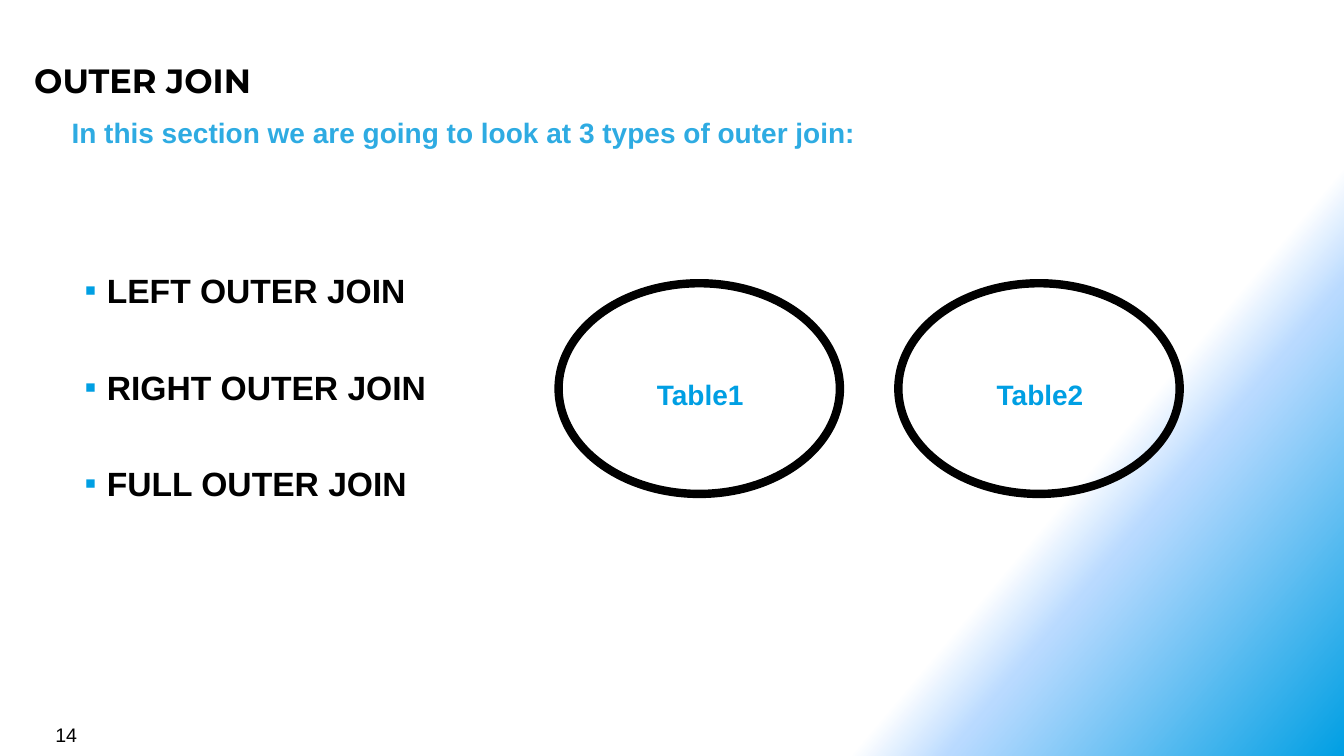
from lxml.etree import SubElement
from pptx import Presentation
from pptx.dml.color import RGBColor
from pptx.enum.shapes import MSO_SHAPE
from pptx.enum.text import PP_ALIGN
from pptx.oxml import parse_xml
from pptx.oxml.ns import nsdecls, qn
from pptx.util import Inches, Pt

BLACK = RGBColor(0, 0, 0)
SKY = RGBColor(0x2E, 0xAB, 0xE2)
BLUE = RGBColor(0x00, 0x9F, 0xE3)
WHITE = RGBColor(0xFF, 0xFF, 0xFF)
PALE = RGBColor(0xB9, 0xDA, 0xFF)

TITLE = "OUTER JOIN"
LEAD = "In this section we are going to look at 3 types of outer join:"
JOINS = ["LEFT OUTER JOIN", "RIGHT OUTER JOIN", "FULL OUTER JOIN"]
TABLES = ["Table1", "Table2"]
PAGE = "14"
STOPS = [(75, WHITE), (80, PALE), (100, BLUE)]
ANGLE = 40

HEAD = {"size": Pt(24), "name": "Montserrat", "bold": True}
ITEM = {"size": Pt(24), "name": "Arial", "bold": True}
NOTE = {"size": Pt(20), "name": "Arial", "bold": True}
FOOT = {"size": Pt(14), "name": "Arial", "bold": False}
LIST = {"space_before": Pt(5), "space_after": Pt(35)}
MID = {"alignment": PP_ALIGN.CENTER}

OVAL = (2.79, 2.09)
LEFT, TOP, STEP = 5.54, 2.81, 3.37
LABEL = (1.09, 0.44)


def apply(item, form):
    for key, val in form.items():
        setattr(item, key, val)


def write(slide, box, lines, font, color, para={}, pad=0.08):
    frame = slide.shapes.add_textbox(*map(Inches, box)).text_frame
    frame.word_wrap = True
    sides = ("left", "top", "right", "bottom")
    apply(frame, {f"margin_{side}": Inches(pad) for side in sides})
    frame.text = "\n".join(lines)
    for part in frame.paragraphs:
        apply(part, para)
        apply(part.runs[0].font, font)
        part.runs[0].font.color.rgb = color
    return frame


def bullet(part):
    props = part._p.get_or_add_pPr()
    props.set("marL", str(Inches(0.31)))
    props.set("indent", str(Inches(-0.22)))
    tint = SubElement(props, qn("a:buClr"))
    SubElement(tint, qn("a:srgbClr"), val=str(BLUE))
    SubElement(props, qn("a:buFont"), typeface="Arial")
    SubElement(props, qn("a:buChar"), char="▪")


def shade(slide):
    stops = "".join(
        f'<a:gs pos="{pos * 1000}"><a:srgbClr val="{color}"/></a:gs>'
        for pos, color in STOPS)
    slide.background.fill.solid()
    props = slide._element.cSld.bg.bgPr
    props.replace(props[0], parse_xml(
        f'<a:gradFill {nsdecls("a")} rotWithShape="1"><a:gsLst>{stops}'
        f'</a:gsLst><a:lin ang="{ANGLE * 60000}" scaled="0"/></a:gradFill>'))


def draw(slide, spot, name):
    left = LEFT + spot * STEP
    oval = slide.shapes.add_shape(
        MSO_SHAPE.OVAL, *map(Inches, (left, TOP, *OVAL)))
    oval.shadow.inherit = False
    oval.fill.background()
    oval.line.color.rgb = BLACK
    oval.line.width = Pt(6)
    side = left + (OVAL[0] - LABEL[0]) / 2 + 0.01
    write(slide, (side, 3.7, *LABEL), [name], NOTE, BLUE, MID, 0.05)


def main():
    deck = Presentation()
    deck.slide_width, deck.slide_height = Inches(13.33), Inches(7.5)
    slide = deck.slides.add_slide(deck.slide_layouts[6])
    shade(slide)
    write(slide, (0.63, 1.07, 12.14, 0.5), [LEAD], NOTE, SKY)
    write(slide, (0.26, 0.51, 12.26, 0.55), [TITLE], HEAD, BLACK)
    for spot, name in enumerate(TABLES):
        draw(slide, spot, name)
    frame = write(slide, (0.67, 2.6, 11.44, 2.5), JOINS, ITEM, BLACK, LIST)
    for part in frame.paragraphs:
        bullet(part)
    write(slide, (0.45, 7.07, 3.11, 0.33), [PAGE], FOOT, BLACK, pad=0.1)
    deck.save("out.pptx")


if __name__ == "__main__":
    main()
